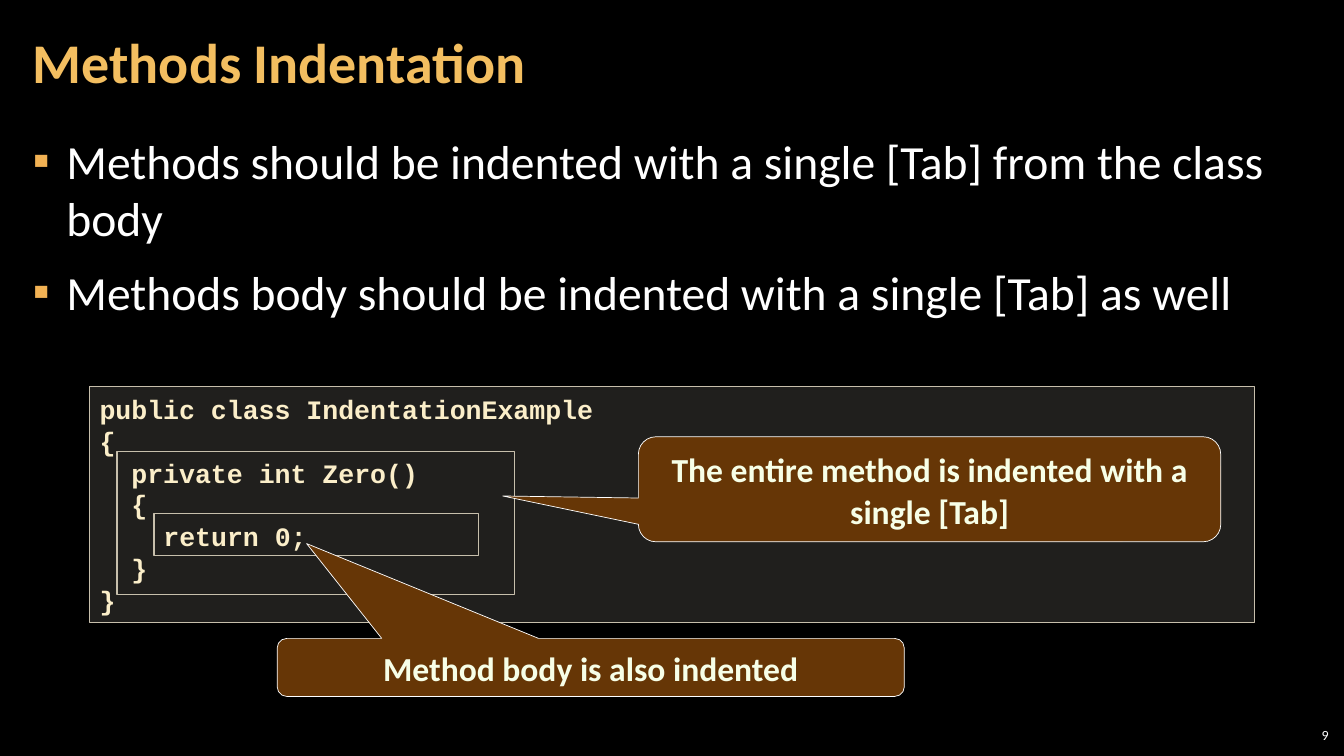
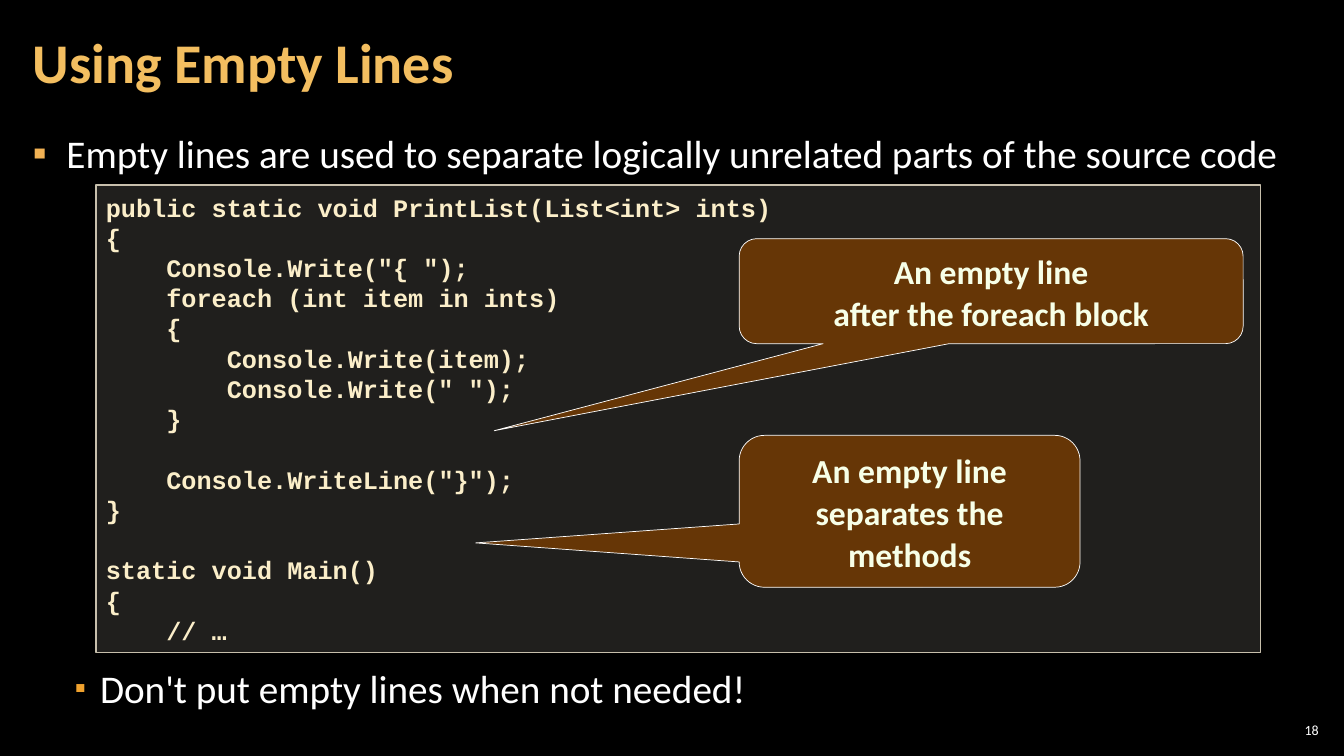
"""Builds two slides on code formatting: indentation and empty lines."""
from dataclasses import dataclass

import lxml.etree
import pptx
import pptx.dml.color
import pptx.enum.shapes
import pptx.enum.text
import pptx.oxml.ns
import pptx.util

Pt = pptx.util.Pt
RGBColor = pptx.dml.color.RGBColor
MSO_SHAPE = pptx.enum.shapes.MSO_SHAPE
PP_ALIGN = pptx.enum.text.PP_ALIGN
MSO_ANCHOR = pptx.enum.text.MSO_ANCHOR
qn = pptx.oxml.ns.qn

BLACK = RGBColor(0x00, 0x00, 0x00)
WHITE = RGBColor(0xFF, 0xFF, 0xFF)
GOLD = RGBColor(0xF3, 0xBE, 0x60)
BULLET_GOLD = RGBColor(0xF2, 0xB2, 0x54)
BULLET_ORANGE = RGBColor(0xF0, 0xA2, 0x2E)
CODE_TINT = RGBColor(0xD9, 0xD5, 0xC7)
CODE_BORDER = RGBColor(0xC7, 0xBF, 0xAC)
CODE_TEXT = RGBColor(0xFB, 0xEE, 0xC9)
BROWN = RGBColor(0x66, 0x36, 0x06)
CALLOUT_TEXT = RGBColor(0xF7, 0xFF, 0xE7)

TITLE_BOX = (15, 3, 754, 87)
BODY_BOX = (15, 91, 930, 438)
CODE_TINT_PERCENT = 15
CODE_LINE_PITCH = 1.2
MONO_WIDTH = 0.6


@dataclass(frozen=True)
class TextStyle:
    """Font, size, colour and weight of a run."""
    size: float
    color: RGBColor
    bold: bool = False
    font: str = "Calibri"


TITLE_STYLE = TextStyle(40, GOLD, True)
NUMBER_STYLE = TextStyle(10, WHITE)
CALLOUT_STYLE = TextStyle(24, CALLOUT_TEXT, True)


def points(box):
    """Turn a tuple of point values into lengths."""
    return [Pt(value) for value in box]


def add_xml(parent, tag, **attributes):
    """Append an XML child with attributes and return it."""
    return lxml.etree.SubElement(parent, qn(tag), attributes)


def write(para, text, style):
    """Add text run by run, with a line break at each newline."""
    for index, part in enumerate(text.split("\n")):
        if index:
            para.add_line_break()
        span = para.add_run()
        span.text = part
        span.font.name = style.font
        span.font.size = Pt(style.size)
        span.font.bold = style.bold
        span.font.color.rgb = style.color


def next_para(frame, index):
    """Return the first paragraph, or a new one after it."""
    return frame.add_paragraph() if index else frame.paragraphs[0]


def add_text_box(slide, box, inset, anchor):
    """Add a wrapping text box and return its frame."""
    frame = slide.shapes.add_textbox(*points(box)).text_frame
    frame.word_wrap = True
    frame.vertical_anchor = anchor
    frame.margin_left = frame.margin_right = Pt(inset)
    frame.margin_top = frame.margin_bottom = Pt(3)
    return frame


def add_outlined(slide, kind, box, line_color, line_width, fill=None):
    """Add a preset shape with a thin outline."""
    shape = slide.shapes.add_shape(kind, *points(box))
    shape.shadow.inherit = False
    shape.line.color.rgb = line_color
    shape.line.width = Pt(line_width)
    if fill is None:
        shape.fill.background()
    else:
        shape.fill.solid()
        shape.fill.fore_color.rgb = fill
    shape.text_frame.word_wrap = True
    shape.text_frame.vertical_anchor = MSO_ANCHOR.MIDDLE
    return shape


def add_frame(slide, box):
    """Add an empty frame around part of the code."""
    return add_outlined(slide, MSO_SHAPE.RECTANGLE, box, CODE_BORDER, 1)


def add_code(slide, box, lines, size, tab_chars):
    """Add a code panel; tabs give the depth, empty strings give gaps."""
    panel = add_outlined(slide, MSO_SHAPE.RECTANGLE, box, CODE_BORDER, 1, CODE_TINT)
    tint = panel._element.spPr.find(qn("a:solidFill")).find(qn("a:srgbClr"))
    add_xml(tint, "a:alpha", val=str(CODE_TINT_PERCENT * 1000))
    style = TextStyle(size, CODE_TEXT, True, "Courier New")
    pitch = size * CODE_LINE_PITCH
    gap = 0
    for index, line in enumerate(lines):
        if not line:
            gap += pitch
            continue
        para = next_para(panel.text_frame, index)
        para.alignment = PP_ALIGN.LEFT
        para.line_spacing = Pt(pitch)
        para.space_before = Pt(gap)
        gap = 0
        text = line.lstrip("\t")
        depth = len(line) - len(text)
        indent = Pt(depth * tab_chars * size * MONO_WIDTH)
        para._p.get_or_add_pPr().set("marL", str(indent))
        write(para, text, style)


def add_callout(slide, box, text, tip_x, tip_y):
    """Add a rounded callout whose tip is given relative to its centre."""
    callout = add_outlined(slide, MSO_SHAPE.ROUNDED_RECTANGULAR_CALLOUT, box, WHITE, 0.5, BROWN)
    callout.adjustments[0] = tip_x
    callout.adjustments[1] = tip_y
    para = callout.text_frame.paragraphs[0]
    para.alignment = PP_ALIGN.CENTER
    para.line_spacing = Pt(30)
    write(para, text, CALLOUT_STYLE)


def set_bullet(para, left, hanging, color, percent):
    """Give a paragraph a square bullet and a hanging indent."""
    props = para._p.get_or_add_pPr()
    props.set("marL", str(Pt(left)))
    props.set("indent", str(-Pt(hanging)))
    add_xml(add_xml(props, "a:buClr"), "a:srgbClr", val=str(color))
    add_xml(props, "a:buSzPct", val=str(percent * 1000))
    add_xml(props, "a:buFont", typeface="Calibri")
    add_xml(props, "a:buChar", char="▪")


def add_bullet(frame, index, text, size, spacing=None, before=6, nested=False):
    """Add a bullet of the first or second level."""
    para = next_para(frame, index)
    para.line_spacing = spacing
    para.space_before = Pt(before)
    para.space_after = Pt(6)
    if nested:
        set_bullet(para, 48, 18, BULLET_ORANGE, 80)
    else:
        set_bullet(para, 24, 24, BULLET_GOLD, 100)
    write(para, text, TextStyle(size, WHITE))


def add_slide(deck, title, number, number_box):
    """Add a black slide with title and number; return it and its body frame."""
    slide = deck.slides.add_slide(deck.slide_layouts[6])
    slide.background.fill.solid()
    slide.background.fill.fore_color.rgb = BLACK
    heading = add_text_box(slide, TITLE_BOX, 8.5, MSO_ANCHOR.MIDDLE).paragraphs[0]
    heading.line_spacing = 0.9
    write(heading, title, TITLE_STYLE)
    body = add_text_box(slide, BODY_BOX, 8.5, MSO_ANCHOR.TOP)
    footer = add_text_box(slide, number_box, 3, MSO_ANCHOR.MIDDLE).paragraphs[0]
    footer.alignment = PP_ALIGN.RIGHT
    write(footer, number, NUMBER_STYLE)
    return slide, body


def build_indentation(deck):
    """Build the slide on indenting methods."""
    slide, body = add_slide(deck, "Methods Indentation", "9", (904, 516, 48, 18))
    for index, text in enumerate((
        "Methods should be indented with a single [Tab] from the class body",
        "Methods body should be indented with a single [Tab] as well",
    )):
        add_bullet(body, index, text, 34)
    add_code(slide, (64, 276, 832, 168.5), (
        "public class IndentationExample",
        "{",
        "\tprivate int Zero()",
        "\t{",
        "\t\treturn 0;",
        "\t}",
        "}",
    ), 19, 2)
    add_frame(slide, (83.5, 322.5, 284, 102))
    add_callout(slide, (456, 312, 416, 75),
                "The entire method is indented with a single [Tab]", -0.733, 0.064)
    add_frame(slide, (110, 367, 232, 30))
    add_callout(slide, (198, 456, 448, 41.5), "Method body is also indented", -0.453, -2.132)


def build_empty_lines(deck):
    """Build the slide on empty lines."""
    slide, body = add_slide(deck, "Using Empty Lines", "18", (911, 514, 34, 15))
    add_bullet(body, 0,
               "Empty lines are used to separate logically unrelated parts of the source code",
               28, Pt(32))
    add_bullet(body, 1, "Don't put empty lines when not needed!", 28, Pt(32), 344, True)
    add_code(slide, (68.5, 132, 832, 334), (
        "public static void PrintList(List<int> ints)",
        "{",
        "\tConsole.Write(\"{ \");",
        "\tforeach (int item in ints)",
        "\t{",
        "\t\tConsole.Write(item);",
        "\t\tConsole.Write(\" \");",
        "\t}",
        "",
        "\tConsole.WriteLine(\"}\");",
        "}",
        "",
        "static void Main()",
        "{",
        "\t// …",
    ), 18, 4)
    add_callout(slide, (528, 311, 243.5, 108.5),
                "An empty line\nseparates the methods", -1.273, 0.208)
    add_callout(slide, (528, 170.5, 360, 75),
                "An empty line\nafter the foreach block", -0.986, 1.329)


def main():
    """Build and save the deck."""
    deck = pptx.Presentation()
    deck.slide_width = Pt(960)
    deck.slide_height = Pt(540)
    build_indentation(deck)
    build_empty_lines(deck)
    deck.save("out.pptx")


if __name__ == "__main__":
    main()
